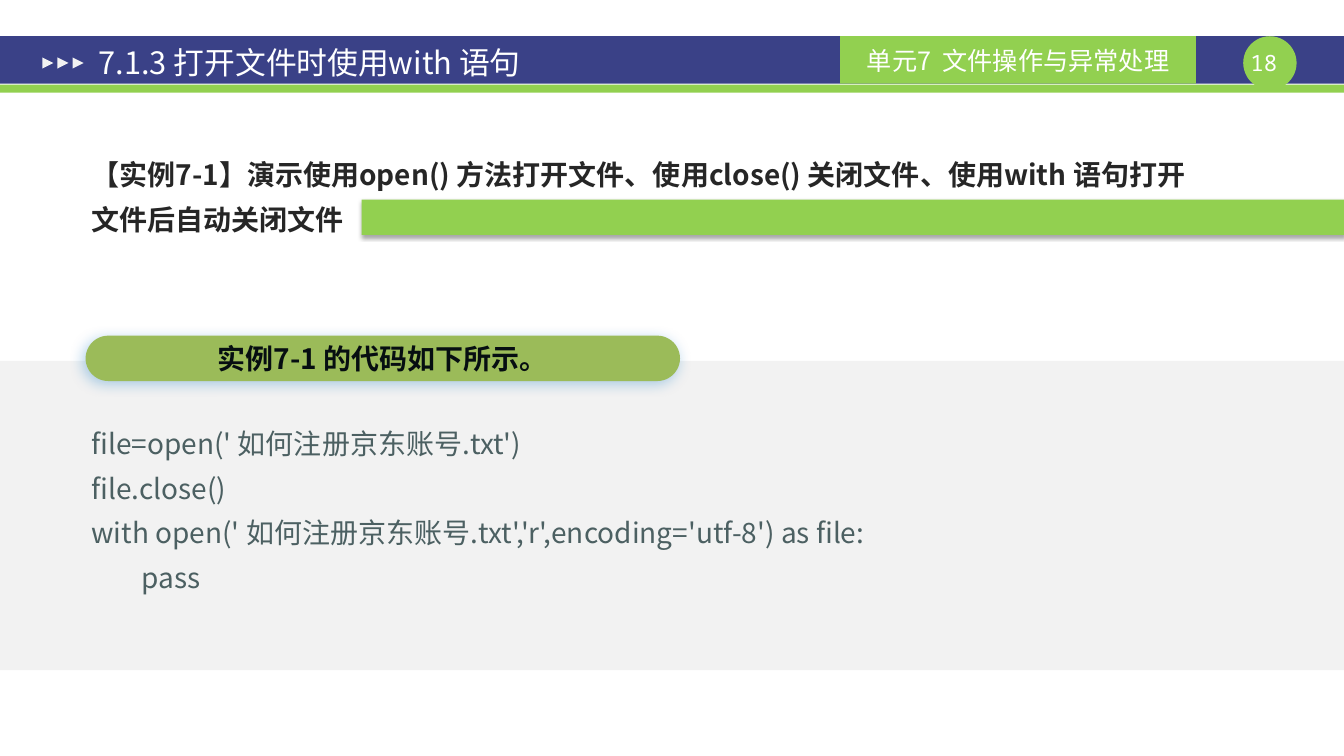
from lxml.etree import SubElement
from pptx import Presentation
from pptx.dml.color import RGBColor
from pptx.enum.shapes import MSO_SHAPE as Shape
from pptx.enum.text import MSO_ANCHOR as Anchor, MSO_AUTO_SIZE as AutoSize, PP_ALIGN as Align
from pptx.oxml.ns import qn
from pptx.util import Emu, Inches, Pt

COLORS = {"blue": "3A4187", "green": "92D050", "olive": "9BBB59", "panel": "F2F2F2",
          "white": "FFFFFF", "heading": "262626", "label": "060E11", "code": "4C6062",
          "black": "000000", "glow": "0070C0"}
SANS, MONO = "Noto Sans CJK SC", "Noto Sans Mono"
WIDTH, HEIGHT = 13.34, 7.5
MARGIN = 0.31
FIRST_LINE_INDENT, CODE_TAB = 0.5, 1.33


def place(shape, left, top, width, height):
    shape.left, shape.top = Inches(left), Inches(top)
    shape.width, shape.height = Inches(width), Inches(height)


def add_block(slide, kind, box, color):
    shape = slide.shapes.add_shape(kind, *map(Inches, box))
    shape.shadow.inherit = False
    shape.fill.solid()
    shape.fill.fore_color.rgb = RGBColor.from_string(COLORS[color])
    shape.line.fill.background()
    return shape


def add_shadow(shape, color, opacity, blur, distance, angle):
    """Opacity in percent, blur and distance in points, angle in degrees."""
    effects = shape._element.spPr.find(qn("a:effectLst"))
    shadow = SubElement(effects, qn("a:outerShdw"), blurRad=str(Pt(blur)), dist=str(Pt(distance)),
                        dir=str(angle * 60000), algn="t", rotWithShape="0")
    tint = SubElement(shadow, qn("a:srgbClr"), val=COLORS[color])
    SubElement(tint, qn("a:alpha"), val=str(opacity * 1000))


def format_paragraph(paragraph, size, color, bold=False, align=Align.LEFT, name=SANS):
    paragraph.alignment = align
    font = paragraph.font
    font.size, font.bold, font.name = Pt(size), bold, name
    font.color.rgb = RGBColor.from_string(COLORS[color])
    for run in paragraph.runs:
        SubElement(run._r.get_or_add_rPr(), qn("a:ea"), typeface=name)


def write(shape, text, size, color, **style):
    """Write one line, centred vertically."""
    frame = shape.text_frame
    frame.word_wrap, frame.vertical_anchor = True, Anchor.MIDDLE
    frame.text = text
    format_paragraph(frame.paragraphs[0], size, color, **style)
    return frame


def add_indented_text(slide, box, lines, color, bold=False):
    frame = slide.shapes.add_textbox(*map(Inches, box)).text_frame
    frame.word_wrap = True
    frame.text = "\n".join(lines)
    for paragraph in frame.paragraphs:
        properties = paragraph._p.get_or_add_pPr()
        properties.set("marL", "0")
        properties.set("indent", str(Inches(FIRST_LINE_INDENT)))
        paragraph.line_spacing = 1.32
        tabs = SubElement(properties, qn("a:tabLst"))
        SubElement(tabs, qn("a:tab"), pos=str(Inches(CODE_TAB)), algn="l")
        format_paragraph(paragraph, 20, color, bold)


def add_header(slide, top, height, title, unit, number):
    add_block(slide, Shape.RECTANGLE, (0, top, WIDTH, height), "blue")
    add_block(slide, Shape.RECTANGLE, (0, top + height + 0.01, WIDTH, 0.08), "green")

    badge = add_block(slide, Shape.OVAL, (WIDTH - 1, top, 0.53, 0.53), "green")
    frame = write(badge, number, 16, "white", align=Align.CENTER, name=MONO)
    frame.margin_left = frame.margin_top = frame.margin_bottom = Emu(0)
    frame.margin_right = Inches(0.12)
    frame.word_wrap = False

    unit_tab = add_block(slide, Shape.RECTANGLE, (8.34, top, 3.53, height), "green")
    write(unit_tab, unit, 18, "white", align=Align.CENTER)

    for column in range(3):
        arrow = add_block(slide, Shape.ISOSCELES_TRIANGLE,
                          (0.42 + 0.15 * column, top + 0.21, 0.11, 0.11), "panel")
        arrow.rotation = 90

    heading = slide.shapes.title
    slide.shapes._spTree.append(heading._element)
    place(heading, 0.85, top + 0.04, 7.2, 0.44)
    frame = write(heading, title, 22, "white")
    frame.auto_size = AutoSize.NONE
    frame.margin_left = frame.margin_right = Inches(0.13)
    frame.margin_top = frame.margin_bottom = Inches(0.07)


def add_example(slide, top, lines):
    bar_left = 3.59
    bar = add_block(slide, Shape.RECTANGLE,
                    (bar_left, top + 0.57, WIDTH - bar_left, 0.35), "green")
    add_shadow(bar, "black", 35, 3.1, 1.8, 90)
    add_indented_text(slide, (MARGIN, top, 12.11, 0.95), lines, "heading", bold=True)


def add_code_panel(slide, top, height, label, lines):
    add_block(slide, Shape.RECTANGLE, (0, top, WIDTH, height), "panel")
    pill = add_block(slide, Shape.ROUNDED_RECTANGLE, (0.85, top - 0.25, 5.9, 0.45), "olive")
    pill.adjustments[0] = 0.5
    add_shadow(pill, "glow", 30, 10, 3, 135)
    write(pill, label, 20, "label", bold=True, align=Align.CENTER)
    add_indented_text(slide, (MARGIN, top + 0.5, 12.11, 1.88), lines, "code")


def main():
    presentation = Presentation()
    presentation.slide_width, presentation.slide_height = Inches(WIDTH), Inches(HEIGHT)
    slide = presentation.slides.add_slide(presentation.slide_layouts[5])
    add_header(slide, 0.36, 0.47, "7.1.3 打开文件时使用with 语句", "单元7  文件操作与异常处理", "18")
    add_example(slide, 1.41, [
        "【实例7-1】演示使用open() 方法打开文件、使用close() 关闭文件、使用with 语句打开",
        "文件后自动关闭文件"])
    add_code_panel(slide, 3.58, 3.07, "实例7-1 的代码如下所示。", [
        "file=open(' 如何注册京东账号.txt')",
        "file.close()",
        "with open(' 如何注册京东账号.txt','r',encoding='utf-8') as file:",
        "\tpass"])
    presentation.save("out.pptx")


if __name__ == "__main__":
    main()
